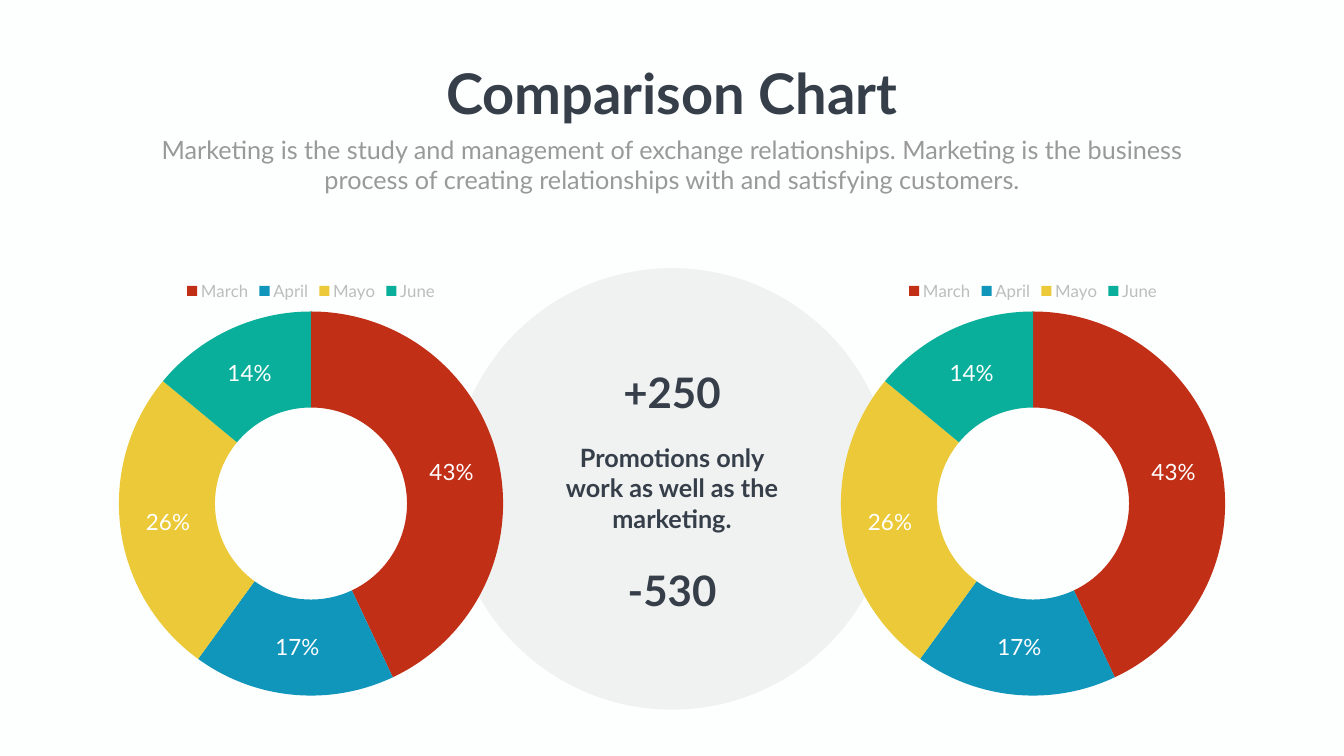
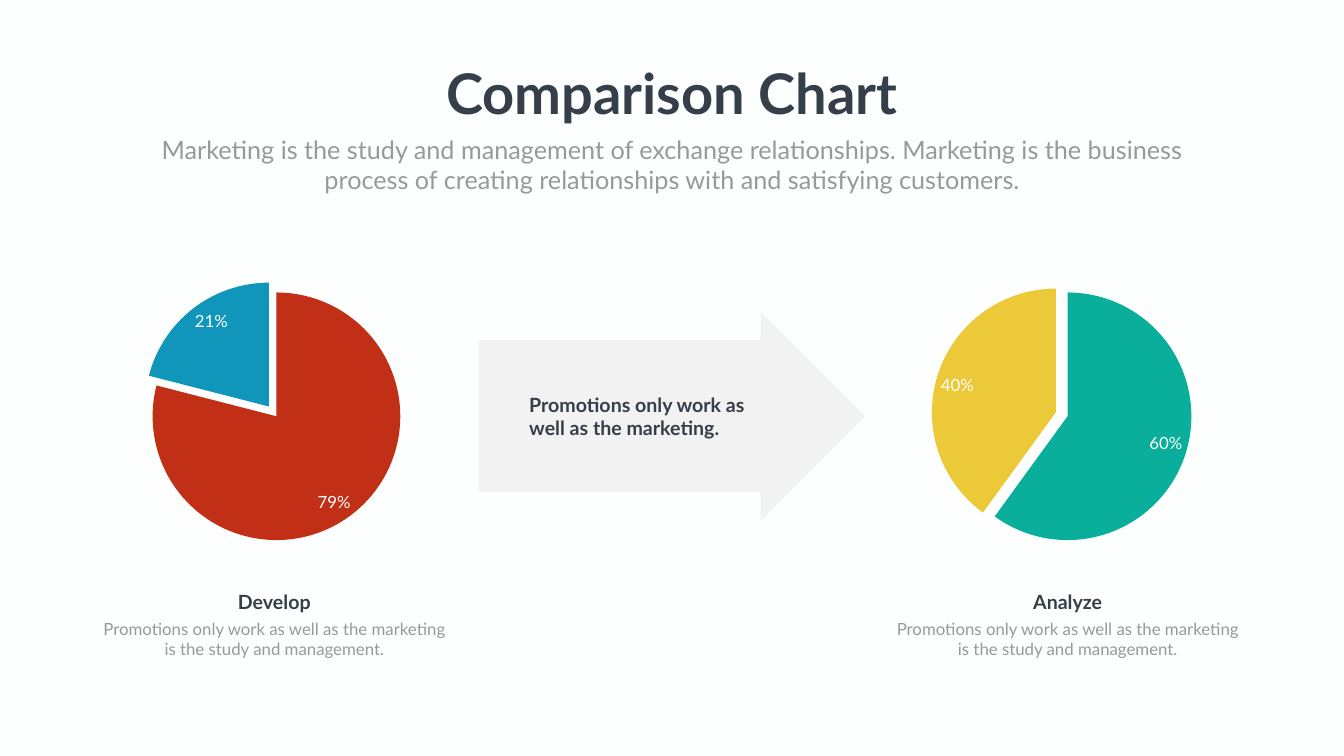
import pptx
import pptx.chart.data
import pptx.dml.color
import pptx.enum.chart
import pptx.enum.shapes
import pptx.enum.text
import pptx.oxml
import pptx.oxml.ns
import pptx.util

RGB = pptx.dml.color.RGBColor
Align = pptx.enum.text.PP_ALIGN
ChartType = pptx.enum.chart.XL_CHART_TYPE
ShapeType = pptx.enum.shapes.MSO_SHAPE
qn = pptx.oxml.ns.qn

BACKGROUND = RGB(0xFD, 0xFF, 0xFE)
DARK = RGB(0x35, 0x3E, 0x49)
GREY = RGB(0x98, 0x99, 0x98)
LEGEND_GREY = RGB(0xBC, 0xBD, 0xBC)
PALE = RGB(0xF2, 0xF2, 0xF2)
SHADE = RGB(0x80, 0x80, 0x80)
WHITE = RGB(0xFF, 0xFF, 0xFF)
RED = RGB(0xC1, 0x2F, 0x17)
BLUE = RGB(0x10, 0x95, 0xBB)
YELLOW = RGB(0xEB, 0xC9, 0x38)
GREEN = RGB(0x09, 0xAF, 0x9A)

FONT = "Lato"
WIDTH, HEIGHT = 26.66, 15
GRID = 100  # columns and rows on a slide
MIDDLE = GRID / 2

TITLE = "Comparison Chart"
SUBTITLE = ("Marketing is the study and management of exchange relationships. "
            "Marketing is the business process of creating relationships with "
            "and satisfying customers.")
PROMOTION = "Promotions only work as well as the marketing."
CAPTION = ("Promotions only work as well as the marketing "
           "is the study and management.")


def set_font(font, size, color, bold=False):
    font.name, font.size, font.bold = FONT, pptx.util.Pt(size), bold
    font.color.rgb = color


def write(shape, text, size=24, color=DARK, bold=False, align=Align.CENTER,
          wrap=True):
    """Put one formatted paragraph into a shape."""
    tf = shape.text_frame
    tf.word_wrap = wrap
    tf.auto_size = pptx.enum.text.MSO_AUTO_SIZE.SHAPE_TO_FIT_TEXT
    tf.vertical_anchor = pptx.enum.text.MSO_ANCHOR.TOP
    p = tf.paragraphs[0]
    p.alignment = align
    r = p.add_run()
    r.text = text
    set_font(r.font, size, color, bold)


def drawing_xml(tag, attributes=""):
    return pptx.oxml.parse_xml(
        f"<{tag} {pptx.oxml.ns.nsdecls('a', 'c')} {attributes}/>")


class Deck:
    """The shared style and the slide being built."""

    def __init__(self):
        self.prs = pptx.Presentation()
        self.prs.slide_width = pptx.util.Inches(WIDTH)
        self.prs.slide_height = pptx.util.Inches(HEIGHT)
        self.s = None

    def box(self, center, top, width, height):
        """Turn grid columns and rows into left, top, width, height."""
        col, row = WIDTH / GRID, HEIGHT / GRID
        return [pptx.util.Inches(n) for n in
                ((center - width / 2) * col, top * row, width * col, height * row)]

    def slide(self, title, subtitle):
        self.s = self.prs.slides.add_slide(self.prs.slide_layouts[5])
        self.s.background.fill.solid()
        self.s.background.fill.fore_color.rgb = BACKGROUND
        sp = self.s.shapes.title
        sp.left, sp.top, sp.width, sp.height = self.box(MIDDLE, 7.47, 34.92, 9.67)
        write(sp, title, size=80, bold=True, wrap=False)
        self.text((MIDDLE, 17.4, 78.1, 8.73), subtitle, size=36, color=GREY)

    def text(self, place, text, **style):
        write(self.s.shapes.add_textbox(*self.box(*place)), text, **style)

    def shape(self, kind, place, color, opacity=None, adjustments=()):
        sp = self.s.shapes.add_shape(kind, *self.box(*place))
        sp.shadow.inherit = False
        sp.line.fill.background()
        sp.fill.solid()
        sp.fill.fore_color.rgb = color
        for i, value in enumerate(adjustments):
            sp.adjustments[i] = value
        if opacity is not None:
            rgb = next(sp.element.iter(qn("a:srgbClr")))
            rgb.append(drawing_xml("a:alpha", f'val="{opacity * 1000}"'))

    def chart(self, kind, place, slices, label_size, legend=False, explode=None):
        """Draw (category, value, color) slices labelled with percentages."""
        data = pptx.chart.data.CategoryChartData()
        data.categories = [name for name, _, _ in slices]
        data.add_series("Series 1", [value for _, value, _ in slices])
        chart = self.s.shapes.add_chart(kind, *self.box(*place), data).chart
        chart.has_title = False
        set_font(chart.font, 20, GREY)
        chart.has_legend = legend
        if legend:
            chart.legend.position = pptx.enum.chart.XL_LEGEND_POSITION.TOP
            chart.legend.include_in_layout = False
            set_font(chart.legend.font, 24, LEGEND_GREY)

        plot = chart.plots[0]
        plot.vary_by_categories = True
        series = plot.series[0]
        for i, (_, _, color) in enumerate(slices):
            fmt = series.points[i].format
            fmt.fill.solid()
            fmt.fill.fore_color.rgb = color
            fmt.line.fill.background()
        labels = series.data_labels
        labels.show_value, labels.show_percentage = False, True
        labels.number_format, labels.number_format_is_linked = "0%", False
        set_font(labels.font, label_size, WHITE)
        if kind == ChartType.PIE:
            labels.position = pptx.enum.chart.XL_LABEL_POSITION.INSIDE_END

        # Transparent chart area and a pulled-out slice
        clear = drawing_xml("c:spPr")
        clear.append(drawing_xml("a:noFill"))
        line = drawing_xml("a:ln")
        line.append(drawing_xml("a:noFill"))
        clear.append(line)
        chart.element.find(qn("c:chart")).addnext(clear)
        if explode is not None:
            point = list(chart.element.iter(qn("c:dPt")))[explode]
            point.find(qn("c:spPr")).addprevious(
                drawing_xml("c:explosion", 'val="10"'))


def build_doughnuts(deck):
    deck.slide(TITLE, SUBTITLE)
    deck.shape(ShapeType.OVAL, (MIDDLE, 35.47, 32.86, 58.4), SHADE, opacity=10)

    # Matching doughnuts either side of the circle
    months = [("March", 43, RED), ("April", 17, BLUE),
              ("Mayo", 26, YELLOW), ("June", 14, GREEN)]
    for side in (-1, 1):
        deck.chart(ChartType.DOUGHNUT, (MIDDLE + side * 26.86, 36.2, 35.18, 56.73),
                   months, label_size=32, legend=True)

    # Figures in the circle
    deck.text((MIDDLE, 58.2, 17.7, 12.8), PROMOTION, size=36, bold=True)
    for top, figure in ((48.13, "+250"), (74.33, "-530")):
        deck.text((MIDDLE, top, 10.24, 7.4), figure, size=60, bold=True)


def build_pies(deck):
    deck.slide(TITLE, SUBTITLE)

    # Pies with their captions
    pies = [(20.57, 20.41, "Develop", [("1", 79, RED), ("2", 21, BLUE)]),
            (79.43, 79.44, "Analyze", [("1", 60, GREEN), ("2", 40, YELLOW)])]
    for pie_center, caption_center, heading, slices in pies:
        deck.chart(ChartType.PIE, (pie_center, 36.13, 31.92, 37.87), slices,
                   label_size=24, explode=1)
        deck.text((caption_center, 81.53, 26.56, 6.07), CAPTION, color=GREY)
        deck.text((caption_center, 77.67, 8.25, 3.8), heading, size=28, bold=True)

    # Arrow from one pie to the other
    deck.shape(ShapeType.RIGHT_ARROW, (MIDDLE, 41.27, 28.73, 27.6), PALE,
               adjustments=(0.73, 0.5))
    deck.text((47.86, 51.6, 17.7, 6.93), PROMOTION, size=28, bold=True,
              align=Align.LEFT)


def main():
    deck = Deck()
    build_doughnuts(deck)
    build_pies(deck)
    deck.prs.save("out.pptx")


if __name__ == "__main__":
    main()
